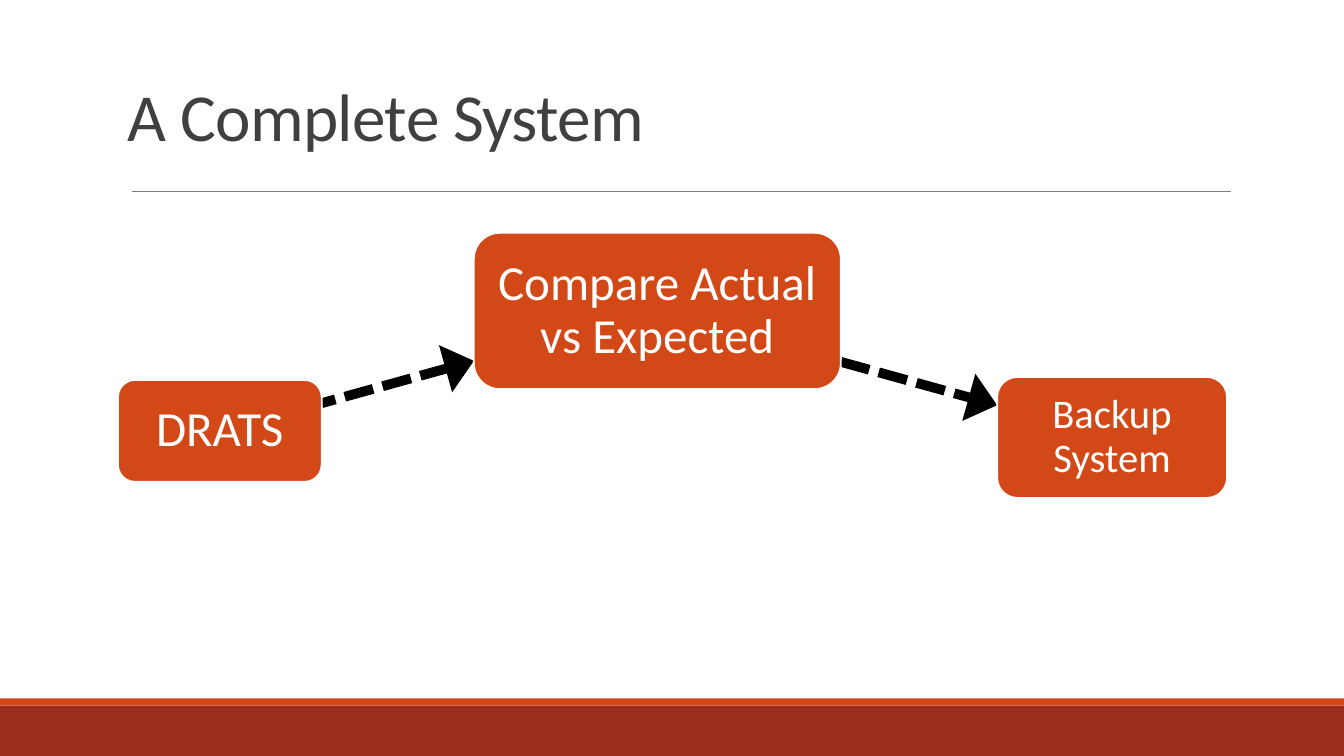
import pptx
import pptx.util
import pptx.dml.color
import pptx.enum.shapes
import pptx.enum.text
import pptx.oxml.ns
import lxml.etree

Inches, Pt = pptx.util.Inches, pptx.util.Pt
SHAPE = pptx.enum.shapes.MSO_SHAPE
ANCHOR = pptx.enum.text.MSO_ANCHOR
ALIGN = pptx.enum.text.PP_ALIGN
qn = pptx.oxml.ns.qn


def paint(target, tone):
    """Give a fill or a font colour a hex tone."""
    if hasattr(target, "solid"):
        target.solid()
        target = target.fore_color
    target.rgb = pptx.dml.color.RGBColor.from_string(tone)


def write(shape, text, size, tone, frame_format, para_format):
    frame = shape.text_frame
    for name, value in frame_format.items():
        setattr(frame, name, value)
    para = frame.paragraphs[0]
    for name, value in para_format.items():
        setattr(para, name, value)
    run = para.add_run()
    run.text = text
    run.font.name, run.font.size = "Calibri", Pt(size)
    paint(run.font.color, tone)
    return run


deck = pptx.Presentation()
deck.slide_width, deck.slide_height = Inches(13.33), Inches(7.5)
slide = deck.slides.add_slide(deck.slide_layouts[6])
shapes = slide.shapes

# Footer bands
for top, height, tone in [(7, 0.5, "9B2D1F"), (6.93, 0.07, "D34817")]:
    band = shapes.add_shape(SHAPE.RECTANGLE, 0, Inches(top),
                            deck.slide_width, Inches(height))
    band.shadow.inherit = False
    band.line.fill.background()
    paint(band.fill, tone)

# Title
title = shapes.add_textbox(Inches(1.17), 0, Inches(11), Inches(1.59))
run = write(title, "A Complete System", 48, "404040",
            {"word_wrap": True, "vertical_anchor": ANCHOR.BOTTOM},
            {"line_spacing": 0.85})
run.font._element.set("spc", "-50")

# Title rule and dashed arrows: start, end, tone, width, arrow end
lines = [
    ((1.31, 1.9), (12.21, 1.9), "808080", 0.5, None),
    ((4.7, 3.58), (3.19, 4), "000000", 7, "a:headEnd"),
    ((8.34, 3.59), (9.89, 4.02), "000000", 7, "a:tailEnd"),
]
for start, end, tone, width, arrow in lines:
    link = shapes.add_connector(pptx.enum.shapes.MSO_CONNECTOR.STRAIGHT,
                                *map(Inches, start + end))
    link.line.width = Pt(width)
    paint(link.line.fill, tone)
    if arrow:
        stroke = link.line._get_or_add_ln()
        lxml.etree.SubElement(stroke, qn("a:prstDash"), val="sysDash")
        lxml.etree.SubElement(stroke, qn(arrow), type="triangle",
                              w="lg", len="med")
    lxml.etree.SubElement(link._element.spPr, qn("a:effectLst"))

# System parts: text, size, left, top, width, height, inset
parts = [
    ("Compare Actual vs Expected", 35, 4.7, 2.31, 3.64, 1.55, 0.1),
    ("Backup System", 29, 9.89, 3.74, 2.28, 1.2, 0.08),
    ("DRATS", 35, 1.17, 3.77, 2.02, 1.01, 0.1),
]
for text, size, left, top, width, height, inset in parts:
    box = shapes.add_shape(SHAPE.ROUNDED_RECTANGLE,
                           *map(Inches, (left, top, width, height)))
    box.shadow.inherit = False
    paint(box.fill, "D34817")
    paint(box.line.fill, "FFFFFF")
    box.line.width = Pt(1.25)
    frame_format = {"word_wrap": True, "vertical_anchor": ANCHOR.MIDDLE}
    for side in ("left", "right", "top", "bottom"):
        frame_format["margin_" + side] = Inches(inset)
    write(box, text, size, "FFFFFF", frame_format,
          {"alignment": ALIGN.CENTER, "line_spacing": 0.9})

deck.save("out.pptx")
